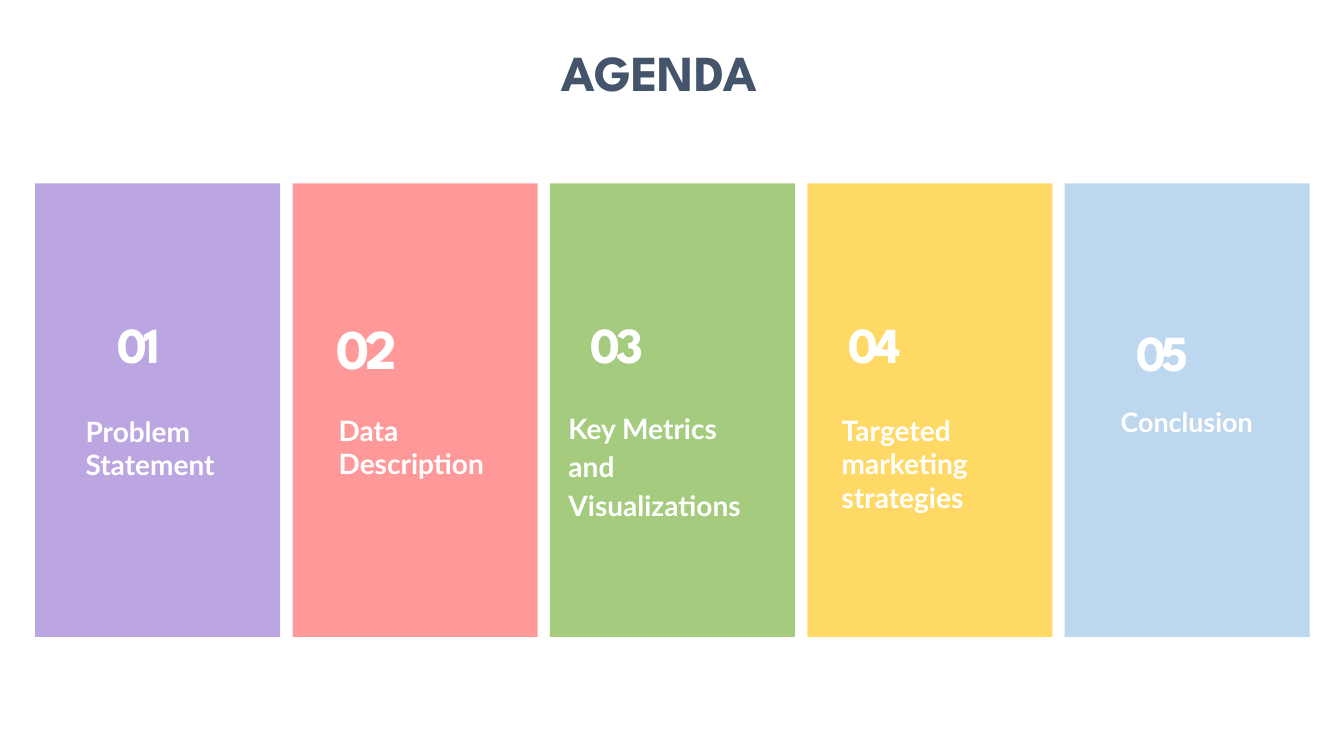
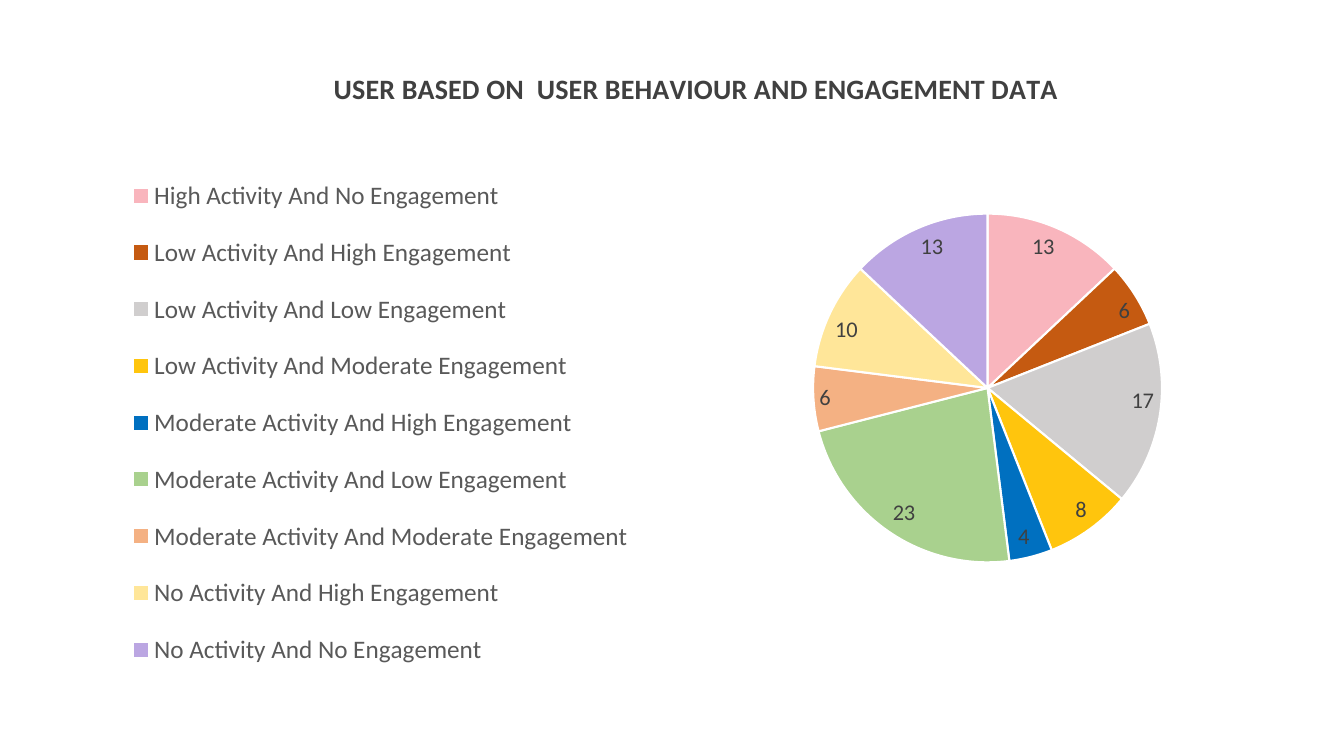
import pptx
import pptx.chart.data
import pptx.dml.color
import pptx.enum.chart
import pptx.enum.shapes
import pptx.enum.text
import pptx.oxml
import pptx.oxml.ns
import pptx.util
from lxml import etree

Inches = pptx.util.Inches
Pt = pptx.util.Pt
qn = pptx.oxml.ns.qn

COLOURS = {
    "white": "FFFFFF", "slate": "44546A", "dark": "404040", "grey": "595959",
    "purple": "BBA6E2", "coral": "FF9999", "leaf": "A5CC7E",
    "yellow": "FFD966", "sky": "BDD7EE", "pink": "F9B5BD",
    "rust": "C55A11", "silver": "D0CECE", "gold": "FFC50D",
    "blue": "0070C0", "green": "A9D18E", "peach": "F4B183",
    "cream": "FFE699",
}
HEADING_FONT, LABEL_FONT, CHART_FONT = "League Spartan", "Lato", "Calibri"

PANEL_LEFT, PANEL_LAST_LEFT = 0.35, 10.56
PANEL_TOP, PANEL_WIDTH, PANEL_HEIGHT = 1.82, 2.43, 4.5

# Boxes are (left, top, width, height) in inches.
CHART_BOX = (0.42, 0.18, 12.5, 7.14)
AGENDA = [
    {"colour": "purple", "number_box": (1.07, 3.06, 1.27, 0.7),
     "label": "Problem Statement", "label_box": (0.75, 4.06, 1.71, 0.77)},
    {"colour": "coral", "number_box": (3.24, 3.06, 1.27, 0.77), "number_size": 40,
     "label": "Data Description", "label_box": (3.26, 4.05, 1.71, 0.77)},
    {"colour": "leaf", "number_box": (5.76, 3.06, 1.27, 0.7),
     "label": "Key Metrics and Visualizations",
     "label_box": (5.42, 3.98, 2.23, 1.23), "indent": 0.12, "line_spacing": 1.15},
    {"colour": "yellow", "number_box": (8.32, 3.06, 1.27, 0.7),
     "label": "Targeted marketing strategies", "label_box": (8.25, 4.05, 1.95, 1.11)},
    {"colour": "sky", "number_box": (11.17, 3.14, 1.18, 0.7),
     "label": "Conclusion", "label_box": (10.61, 3.97, 2.32, 0.42),
     "label_size": 19.2, "align": pptx.enum.text.PP_ALIGN.CENTER},
]

SEGMENTS = [
    ("High Activity And No Engagement", 13, "pink"),
    ("Low Activity And High Engagement", 6, "rust"),
    ("Low Activity And Low Engagement", 17, "silver"),
    ("Low Activity And Moderate Engagement", 8, "gold"),
    ("Moderate Activity And High Engagement", 4, "blue"),
    ("Moderate Activity And Low Engagement", 23, "green"),
    ("Moderate Activity And Moderate Engagement", 6, "peach"),
    ("No Activity And High Engagement", 10, "cream"),
    ("No Activity And No Engagement", 13, "purple"),
]


def rgb(name):
    return pptx.dml.color.RGBColor.from_string(COLOURS[name])


def style_font(font, name, size, colour, bold=False):
    font.name = name
    font.size = Pt(size)
    font.color.rgb = rgb(colour)
    font.bold = bold


def place(shape, box):
    shape.left, shape.top, shape.width, shape.height = map(Inches, box)


def add_title(slide, text, box):
    title = slide.shapes.title
    place(title, box)
    frame = title.text_frame
    frame.text = text
    frame.word_wrap = False
    frame.auto_size = pptx.enum.text.MSO_AUTO_SIZE.NONE
    frame.vertical_anchor = pptx.enum.text.MSO_ANCHOR.TOP
    para = frame.paragraphs[0]
    para.alignment = pptx.enum.text.PP_ALIGN.CENTER
    style_font(para.font, HEADING_FONT, 36, "slate", bold=True)


def add_text(slide, text, box, font, size):
    """Add a bold white text box and return its paragraph."""
    frame = slide.shapes.add_textbox(*map(Inches, box)).text_frame
    frame.word_wrap = True
    para = frame.paragraphs[0]
    para.text = text
    style_font(para.font, font, size, "white", bold=True)
    return para


def add_panel(slide, left, colour):
    panel = slide.shapes.add_shape(
        pptx.enum.shapes.MSO_SHAPE.RECTANGLE, Inches(left), Inches(PANEL_TOP),
        Inches(PANEL_WIDTH), Inches(PANEL_HEIGHT))
    panel.shadow.inherit = False
    panel.fill.solid()
    panel.fill.fore_color.rgb = rgb(colour)
    panel.line.fill.background()


def add_number(slide, number, item):
    para = add_text(slide, f"{number:02d}", item["number_box"],
                    HEADING_FONT, item.get("number_size", 36))
    para.runs[0]._r.get_or_add_rPr().set("spc", "-300")


def add_label(slide, item):
    para = add_text(slide, item["label"], item["label_box"],
                    LABEL_FONT, item.get("label_size", 20))
    para.alignment = item.get("align")
    para.line_spacing = item.get("line_spacing")
    if "indent" in item:
        properties = para._p.get_or_add_pPr()
        properties.set("marL", str(Inches(item["indent"])))
        properties.set("indent", "0")


def set_layout(element, box, after=None, target=None):
    """Fix a chart part's place; box is in inches within the chart."""
    for old in element.findall(qn("c:layout")):
        element.remove(old)
    index = element.index(element.find(qn(after))) + 1 if after else 0
    layout = etree.Element(qn("c:layout"))
    element.insert(index, layout)
    manual = etree.SubElement(layout, qn("c:manualLayout"))
    settings = {"layoutTarget": target} if target else {}
    settings.update(xMode="edge", yMode="edge")
    chart_size = CHART_BOX[2:] * 2
    for tag, length, whole in zip("xywh", box, chart_size):
        settings[tag] = length / whole
    for tag, value in settings.items():
        etree.SubElement(manual, qn("c:" + tag)).set("val", str(value))


def add_chart_title(chart, text):
    chart.has_title = True
    frame = chart.chart_title.text_frame
    frame.text = text
    style_font(frame.paragraphs[0].font, CHART_FONT, 20, "dark", bold=True)
    set_layout(chart.chart_title._element, (2.84, 0.45), after="c:tx")


def add_legend(chart):
    chart.has_legend = True
    legend = chart.legend
    legend.position = pptx.enum.chart.XL_LEGEND_POSITION.RIGHT
    legend.include_layout = False
    style_font(legend.font, CHART_FONT, 18, "grey")
    set_layout(legend._element, (0.73, 1.35, 5.25, 5.33), after="c:legendPos")


def add_value_labels(plot):
    plot.has_data_labels = True
    labels = plot.data_labels
    labels.show_value = True
    labels.show_percentage = False
    labels.position = pptx.enum.chart.XL_LABEL_POSITION.INSIDE_END
    style_font(labels.font, CHART_FONT, 16, "dark")


def add_pie(slide, title, segments):
    names, values, colours = zip(*segments)
    data = pptx.chart.data.CategoryChartData()
    data.categories = names
    data.add_series("Series 1", values)
    chart = slide.shapes.add_chart(
        pptx.enum.chart.XL_CHART_TYPE.PIE, *map(Inches, CHART_BOX), data).chart
    chart.font.name = CHART_FONT
    chart.font.size = Pt(16)
    add_chart_title(chart, title)
    add_legend(chart)
    plot = chart.plots[0]
    plot.vary_by_categories = True
    add_value_labels(plot)
    for index, colour in enumerate(colours):
        point = plot.series[0].points[index].format
        point.fill.solid()
        point.fill.fore_color.rgb = rgb(colour)
        point.line.color.rgb = rgb("white")
        point.line.width = Pt(1.5)
    plot_area = chart._chartSpace.find(qn("c:chart")).find(qn("c:plotArea"))
    set_layout(plot_area, (7.56, 1.94, 3.63, 3.46), target="inner")


def build_agenda(deck):
    slide = deck.slides.add_slide(deck.slide_layouts.get_by_name("Title Only"))
    add_title(slide, "AGENDA", (5.36, 0.36, 2.36, 0.71))
    pitch = (PANEL_LAST_LEFT - PANEL_LEFT) / (len(AGENDA) - 1)
    for index, item in enumerate(AGENDA):
        add_panel(slide, PANEL_LEFT + index * pitch, item["colour"])
        add_number(slide, index + 1, item)
        add_label(slide, item)


def build_engagement(deck):
    slide = deck.slides.add_slide(deck.slide_layouts.get_by_name("Blank"))
    add_pie(slide, "USER BASED ON  USER BEHAVIOUR AND ENGAGEMENT DATA", SEGMENTS)


def main():
    deck = pptx.Presentation()
    deck.slide_width = Inches(13.33)
    deck.slide_height = Inches(7.5)
    build_agenda(deck)
    build_engagement(deck)
    deck.save("out.pptx")


if __name__ == "__main__":
    main()
